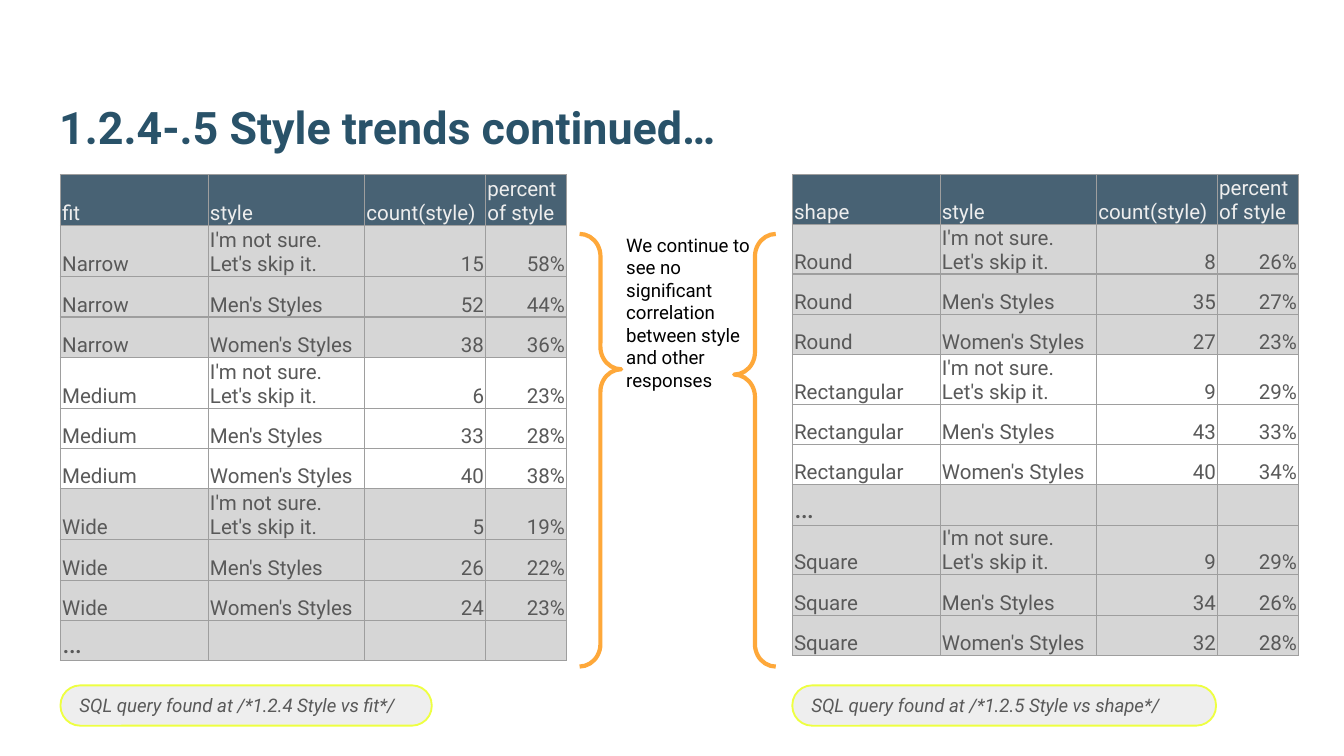
from dataclasses import dataclass

from lxml import etree
from pptx import Presentation
from pptx import util as u
from pptx.dml.color import RGBColor
from pptx.enum import shapes, text
from pptx.oxml import ns

TITLE_BLUE = RGBColor(0x29, 0x52, 0x69)
HEADER_BLUE = RGBColor(0x20, 0x40, 0x56)
HEADER_TEXT = RGBColor(0xEE, 0xEE, 0xEE)
BODY_TEXT = RGBColor(0x59, 0x59, 0x59)
BAND_GRAY = RGBColor(0xD6, 0xD6, 0xD6)
BORDER_GRAY = RGBColor(0x9E, 0x9E, 0x9E)
PILL_GRAY = RGBColor(0xEE, 0xEE, 0xEE)
PILL_YELLOW = RGBColor(0xEE, 0xFF, 0x41)
BRACE_ORANGE = RGBColor(0xFE, 0xA8, 0x3A)
BLACK = RGBColor(0, 0, 0)

FONT = "Roboto"
COLUMN_WIDTHS = (79.2, 83.8, 64.8, 43.4)
ROW_HEIGHT = 21.6
TABLE_TOP = 93.6
CELL_INSET = 0.9
STYLES = ("I'm not sure. Let's skip it.", "Men's Styles", "Women's Styles")
ELLIPSIS_ROW = ("…", "", "", "")


@dataclass(frozen=True)
class Group:
    """One value of the first column, with a (count, percent) pair per style."""
    name: str
    results: tuple[tuple[int, int], ...]
    shaded: bool


@dataclass(frozen=True)
class StyleTable:
    left: float
    first_header: str
    groups: tuple[Group, ...]
    ellipsis_after: int
    wrapped_height: float
    query: str
    query_width: float


@dataclass(frozen=True)
class Brace:
    left: float
    point: float
    rotation: float


TABLES = (
    StyleTable(32.4, "fit", (
        Group("Narrow", ((15, 58), (52, 44), (38, 36)), True),
        Group("Medium", ((6, 23), (33, 28), (40, 38)), False),
        Group("Wide", ((5, 19), (26, 22), (24, 23)), True),
    ), 3, 27.3, "SQL query found at /*1.2.4 Style vs fit*/", 198.9),
    StyleTable(424.5, "shape", (
        Group("Round", ((8, 26), (35, 27), (27, 23)), True),
        Group("Rectangular", ((9, 29), (43, 33), (40, 34)), False),
        Group("Square", ((9, 29), (34, 26), (32, 28)), True),
    ), 2, 26.5, "SQL query found at /*1.2.5 Style vs shape*/", 227),
)
BRACES = (Brace(310.5, 0.313, 0), Brace(393.3, 0.675, 180))


def format_paragraph(para, size: float, color: RGBColor, bold: bool = False,
                     italic: bool = False) -> None:
    para.font.name = FONT
    para.font.size = u.Pt(size)
    para.font.bold = bold
    para.font.italic = italic
    para.font.color.rgb = color


def set_insets(target, left: float, top: float, right: float, bottom: float) -> None:
    target.margin_left, target.margin_top = u.Pt(left), u.Pt(top)
    target.margin_right, target.margin_bottom = u.Pt(right), u.Pt(bottom)


def add_borders(cell) -> None:
    properties = cell._tc.get_or_add_tcPr()
    for side in ("a:lnL", "a:lnR", "a:lnT", "a:lnB"):
        line = etree.SubElement(properties, ns.qn(side), w=str(int(u.Pt(0.75))))
        fill = etree.SubElement(line, ns.qn("a:solidFill"))
        etree.SubElement(fill, ns.qn("a:srgbClr"), val=str(BORDER_GRAY))


def fill_cell(cell, color: RGBColor | None, opacity: int = 100) -> None:
    if color is None:
        cell.fill.background()
        return
    cell.fill.solid()
    cell.fill.fore_color.rgb = color
    if opacity < 100:
        srgb = cell._tc.tcPr.find(".//" + ns.qn("a:solidFill") + "[last()]/" + ns.qn("a:srgbClr"))
        for child in cell._tc.tcPr.findall(ns.qn("a:solidFill")):
            srgb = child.find(ns.qn("a:srgbClr"))
        etree.SubElement(srgb, ns.qn("a:alpha"), val=str(opacity * 1000))


def write_cell(cell, words: str, color: RGBColor, align_right: bool) -> None:
    cell.vertical_anchor = text.MSO_ANCHOR.BOTTOM
    set_insets(cell, CELL_INSET, CELL_INSET, CELL_INSET, 0)
    para = cell.text_frame.paragraphs[0]
    if words:
        para.text = words
    else:
        para._p.get_or_add_endParaRPr().set("sz", "1100")
    para.alignment = text.PP_ALIGN.RIGHT if align_right else text.PP_ALIGN.LEFT
    format_paragraph(para, 16 if words == "…" else 11, color)


def table_rows(spec_table: StyleTable) -> list[tuple[tuple[str, ...], bool]]:
    """Return the body rows, each with whether it is shaded."""
    rows = []
    for number, group in enumerate(spec_table.groups, start=1):
        for style, (count, percent) in zip(STYLES, group.results):
            rows.append(((group.name, style, str(count), f"{percent}%"), group.shaded))
        if number == spec_table.ellipsis_after:
            rows.append((ELLIPSIS_ROW, True))
    return rows


def add_style_table(page, style_table: StyleTable) -> None:
    header = (style_table.first_header, "style", "count(style)", "percent of style")
    rows = [(header, True), *table_rows(style_table)]
    frame = page.shapes.add_table(
        len(rows), len(header), u.Pt(style_table.left), u.Pt(TABLE_TOP),
        u.Pt(sum(COLUMN_WIDTHS)), u.Pt(ROW_HEIGHT * len(rows)))
    table = frame.table
    table.first_row = table.horz_banding = False
    for column, width in zip(table.columns, COLUMN_WIDTHS):
        column.width = u.Pt(width)
    for row_index, (values, shaded) in enumerate(rows):
        is_header = row_index == 0
        wraps = is_header or values[1] == STYLES[0]
        table.rows[row_index].height = u.Pt(style_table.wrapped_height if wraps else ROW_HEIGHT)
        for column_index, words in enumerate(values):
            cell = table.cell(row_index, column_index)
            add_borders(cell)
            if is_header:
                fill_cell(cell, HEADER_BLUE, opacity=82)
            else:
                fill_cell(cell, BAND_GRAY if shaded else None)
            write_cell(cell, words, HEADER_TEXT if is_header else BODY_TEXT,
                       align_right=not is_header and column_index >= 2)


def add_query_pill(page, style_table: StyleTable) -> None:
    pill = page.shapes.add_shape(
        shapes.MSO_SHAPE.ROUNDED_RECTANGLE, u.Pt(style_table.left), u.Pt(367.2),
        u.Pt(style_table.query_width), u.Pt(21.6))
    pill.adjustments[0] = 0.49
    pill.shadow.inherit = False
    pill.fill.solid()
    pill.fill.fore_color.rgb = PILL_GRAY
    pill.line.color.rgb = PILL_YELLOW
    pill.line.width = u.Pt(1)
    pill.text_frame.word_wrap = True
    pill.text_frame.vertical_anchor = text.MSO_ANCHOR.MIDDLE
    para = pill.text_frame.paragraphs[0]
    para.text = style_table.query
    para.alignment = text.PP_ALIGN.LEFT
    format_paragraph(para, 10, BODY_TEXT, italic=True)


def add_brace(page, brace: Brace) -> None:
    shape = page.shapes.add_shape(
        shapes.MSO_SHAPE.RIGHT_BRACE, u.Pt(brace.left), u.Pt(125.3), u.Pt(22.3), u.Pt(231.8))
    shape.adjustments[0] = 0.54
    shape.adjustments[1] = brace.point
    shape.rotation = brace.rotation
    shape.shadow.inherit = False
    shape.fill.background()
    shape.line.color.rgb = BRACE_ORANGE
    shape.line.width = u.Pt(2.25)


def add_title(page) -> None:
    title = page.shapes.title
    title.left, title.top, title.width, title.height = map(u.Pt, (24.5, 23, 671, 66.2))
    frame = title.text_frame
    frame.auto_size = text.MSO_AUTO_SIZE.NONE
    frame.vertical_anchor = text.MSO_ANCHOR.BOTTOM
    set_insets(frame, 7.2, 7.2, 7.2, 7.2)
    para = frame.paragraphs[0]
    para.text = "1.2.4-.5 Style trends continued…"
    para.alignment = text.PP_ALIGN.LEFT
    format_paragraph(para, 24, TITLE_BLUE, bold=True)


def add_finding(page) -> None:
    box = page.shapes.add_textbox(u.Pt(335.5), u.Pt(125.3), u.Pt(76.3), u.Pt(85))
    box.text_frame.word_wrap = True
    set_insets(box.text_frame, 0, 0, 0, 0)
    para = box.text_frame.paragraphs[0]
    para.text = "We continue to see no significant correlation between style and other responses"
    format_paragraph(para, 10, BLACK)


def main() -> None:
    deck = Presentation()
    deck.slide_width, deck.slide_height = u.Pt(720), u.Pt(405)
    page = deck.slides.add_slide(deck.slide_layouts[5])
    add_title(page)
    for style_table in TABLES:
        add_style_table(page, style_table)
        add_query_pill(page, style_table)
    for brace in BRACES:
        add_brace(page, brace)
    add_finding(page)
    deck.save("out.pptx")


if __name__ == "__main__":
    main()
